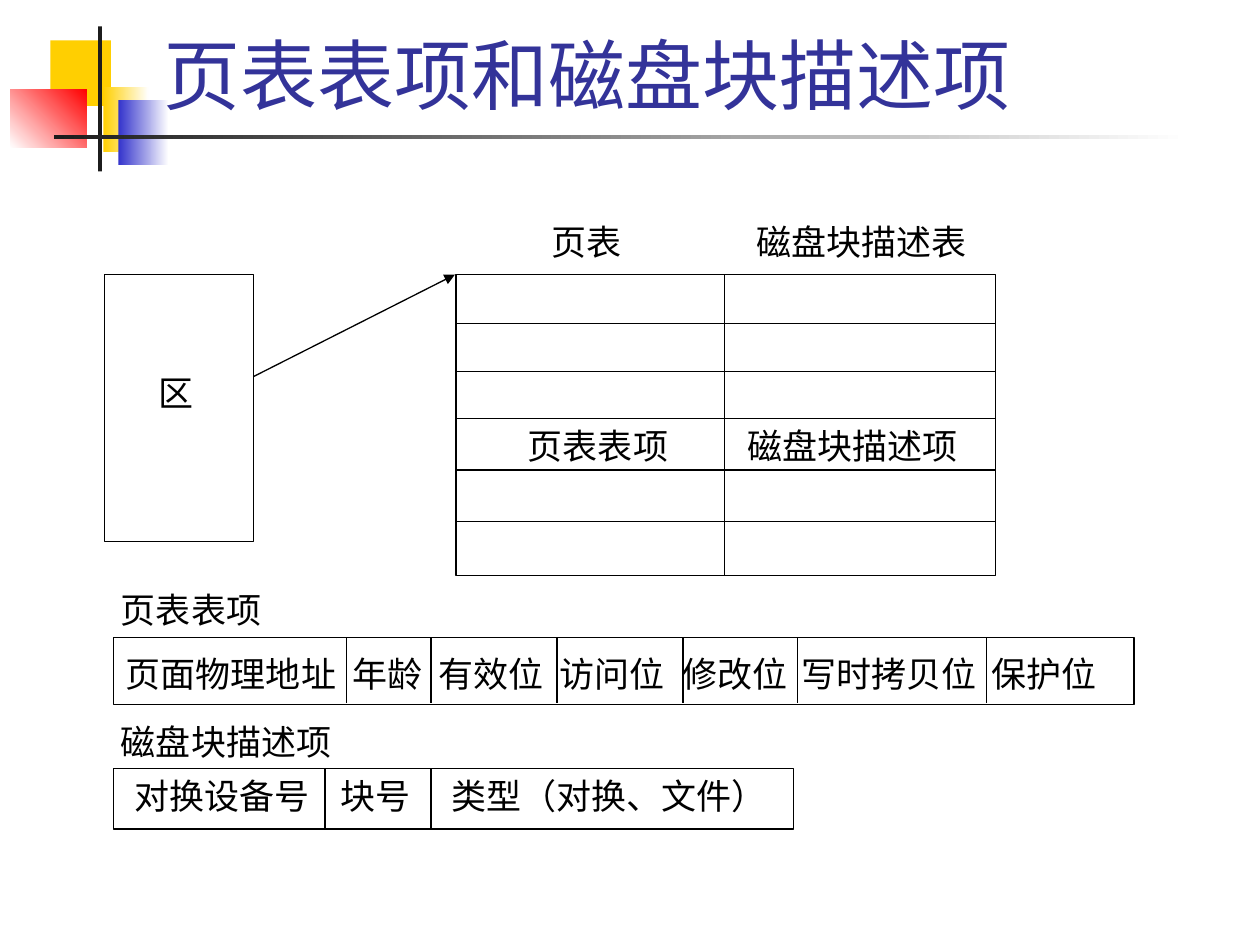
from lxml.etree import SubElement
from pptx import Presentation
from pptx.dml.color import RGBColor
from pptx.enum.shapes import MSO_CONNECTOR, MSO_SHAPE
from pptx.enum.text import MSO_ANCHOR, MSO_AUTO_SIZE, PP_ALIGN
from pptx.oxml.ns import qn
from pptx.util import Inches, Pt

BLACK = RGBColor(0x00, 0x00, 0x00)
WHITE = RGBColor(0xFF, 0xFF, 0xFF)
INK = RGBColor(0x1C, 0x1C, 0x1C)
YELLOW = RGBColor(0xFF, 0xCF, 0x01)
RED = RGBColor(0xFF, 0x00, 0x00)
BLUE = RGBColor(0x33, 0x33, 0xCC)
NAVY = RGBColor(0x33, 0x33, 0x99)

prs = Presentation()
prs.slide_width, prs.slide_height = Inches(10), Inches(7.5)
COL, ROW = prs.slide_width / 100, prs.slide_height / 75
s = prs.slides.add_slide(prs.slide_layouts[5])


def write(tf, text, size=20, font="Times New Roman", color=BLACK, align=PP_ALIGN.JUSTIFY,
          anchor=MSO_ANCHOR.TOP, left=0, top=0, right=0, bottom=0, tabs=()):
    tf.word_wrap = True
    tf.auto_size = MSO_AUTO_SIZE.NONE
    tf.vertical_anchor = anchor
    tf.margin_left, tf.margin_right = int(left * COL), int(right * COL)
    tf.margin_top, tf.margin_bottom = int(top * ROW), int(bottom * ROW)
    p = tf.paragraphs[0]
    p.text = text
    p.alignment = align
    if tabs:
        stops = SubElement(p._p.get_or_add_pPr(), qn("a:tabLst"))
        for tab in tabs:
            SubElement(stops, qn("a:tab"), pos=str(int(tab * COL)), algn="l")
    f = p.runs[0].font
    f.size, f.name = Pt(size), font
    f.color.rgb = color


def add_line(x1, y1, x2, y2, arrow=False):
    line = s.shapes.add_connector(MSO_CONNECTOR.STRAIGHT, int(x1 * COL), int(y1 * ROW),
                                  int(x2 * COL), int(y2 * ROW))
    line.line.color.rgb = BLACK
    line.line.width = Pt(0.75)
    if arrow:
        SubElement(line.line._get_or_add_ln(), qn("a:tailEnd"), type="triangle")
    SubElement(line._element.spPr, qn("a:effectLst"))


ornaments = [
    (4, 3.2, 4.8, 5.2, [YELLOW], 0),
    (8.2, 6.9, 3.6, 5.2, [YELLOW, WHITE], 0),
    (9.4, 7.9, 4, 5.2, [BLUE, WHITE], 0),
    (0.8, 7.1, 6.1, 4.6, [WHITE, RED], 45),
    (7.8, 2.1, 0.3, 11.5, [INK], 0),
    (4.3, 10.7, 90, 0.3, [INK, WHITE], 0),
]
for x, y, w, h, colors, angle in ornaments:
    sp = s.shapes.add_shape(MSO_SHAPE.RECTANGLE, int(x * COL), int(y * ROW),
                            int(w * COL), int(h * ROW))
    sp.shadow.inherit = False
    sp.line.fill.background()
    if len(colors) == 1:
        sp.fill.solid()
        sp.fill.fore_color.rgb = colors[0]
    else:
        sp.fill.gradient()
        sp.fill.gradient_angle = angle
        for stop, color in zip(sp.fill.gradient_stops, colors):
            stop.color.rgb = color

title = s.shapes.title
title.left, title.top = int(12 * COL), int(1.7 * ROW)
title.width, title.height = int(85.2 * COL), int(8.3 * ROW)
write(title.text_frame, "页表表项和磁盘块描述项", size=44, font="Cabin", color=NAVY,
      align=PP_ALIGN.LEFT, anchor=MSO_ANCHOR.BOTTOM, left=1, top=0.5, right=1, bottom=0.5)
title.element.getparent().append(title.element)

entry_fields = "\t".join(["页面物理地址", "年龄", "有效位", "访问位", "修改位", "写时拷贝位", "保护位"])
block_fields = "\t".join(["对换设备号", "块号", "类型（对换、文件）"])
boxes = [
    (8.3, 21.8, 11.8, 21.2, "", {}),
    (36.2, 21.8, 42.8, 23.9, "", {}),
    (9, 50.6, 81, 5.3, entry_fields,
     dict(left=1, top=1.2, bottom=0.5, tabs=(18, 24.8, 34.4, 44.2, 53.6, 68.7))),
    (9, 61, 54, 4.8, block_fields,
     dict(left=1.7, top=0.5, right=1, bottom=0.5, tabs=(16.3, 25.1))),
]
for x, y, w, h, text, style in boxes:
    sp = s.shapes.add_shape(MSO_SHAPE.RECTANGLE, int(x * COL), int(y * ROW),
                            int(w * COL), int(h * ROW))
    sp.shadow.inherit = False
    sp.fill.solid()
    sp.fill.fore_color.rgb = WHITE
    sp.line.color.rgb = BLACK
    sp.line.width = Pt(0.75)
    if text:
        write(sp.text_frame, text, **style)

for y in (25.7, 29.5, 33.2, 37.3, 41.4):
    add_line(36.2, y, 79, y)
add_line(57.5, 21.8, 57.5, 45.7)
for x in (27.5, 34.2, 44.2, 54.2, 63.3, 78.3):
    add_line(x, 50.6, x, 55.8)
for x in (25.8, 34.2):
    add_line(x, 61, x, 65.8)
add_line(20.1, 29.9, 36.1, 21.8, arrow=True)

labels = [
    (43.8, 17.5, 6.2, 2.6, "页表", {}),
    (60, 17.5, 19.2, 3.3, "磁盘块描述表", {}),
    (12.1, 29.5, 3.7, 2.8, "区", dict(align=PP_ALIGN.CENTER)),
    (41.9, 33.7, 36.4, 3.8, "页表表项\t磁盘块描述项", dict(tabs=(17.4,))),
    (9.6, 46.7, 12.1, 2.6, "页表表项", {}),
    (9.6, 57.2, 18.8, 2, "磁盘块描述项", {}),
]
for x, y, w, h, text, style in labels:
    sp = s.shapes.add_textbox(int(x * COL), int(y * ROW), int(w * COL), int(h * ROW))
    write(sp.text_frame, text, **style)

prs.save("out.pptx")
